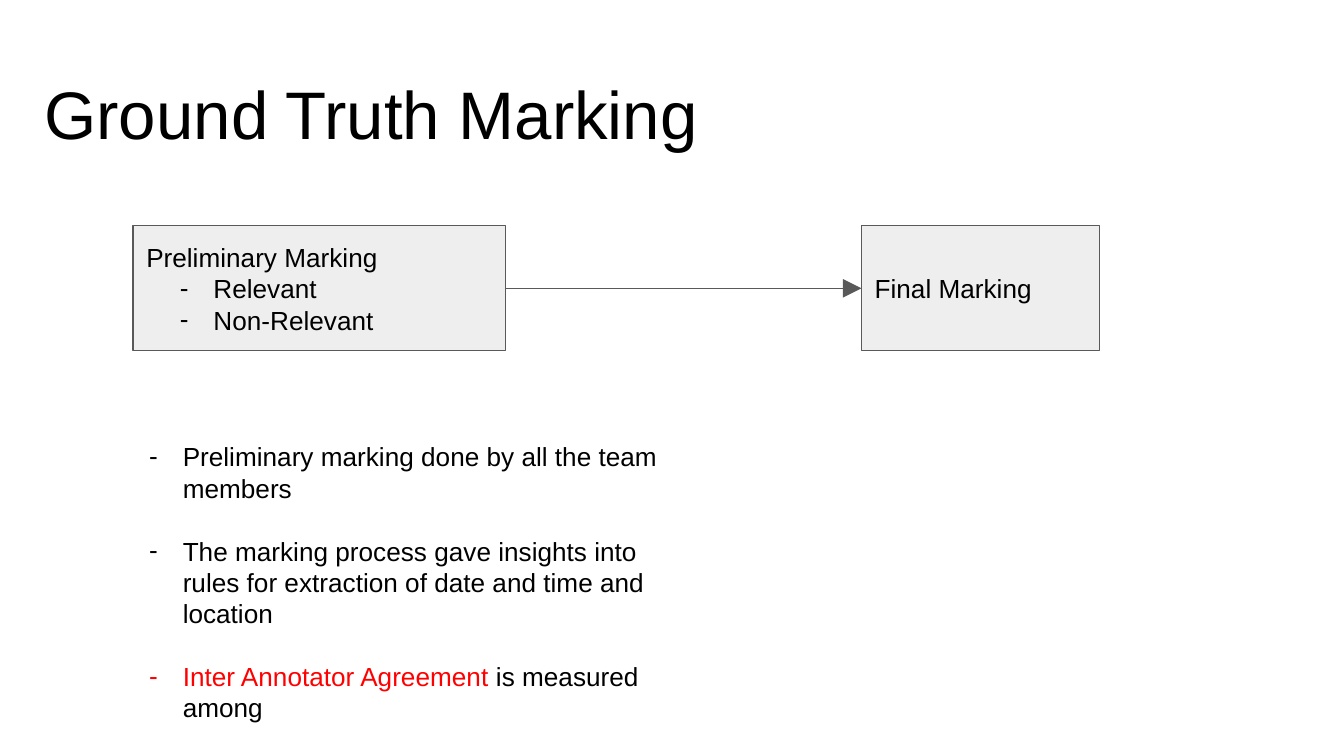
from pptx import Presentation
from pptx.dml.color import RGBColor
from pptx.enum.shapes import MSO_CONNECTOR, MSO_SHAPE
from pptx.enum.text import MSO_ANCHOR, MSO_AUTO_SIZE, PP_ALIGN
from pptx.oxml.ns import qn
from pptx.util import Inches, Pt
from lxml import etree

RECTANGLE = MSO_SHAPE.RECTANGLE
STRAIGHT = MSO_CONNECTOR.STRAIGHT
TOP, MIDDLE = MSO_ANCHOR.TOP, MSO_ANCHOR.MIDDLE
LEFT = PP_ALIGN.LEFT
NO_AUTOFIT = MSO_AUTO_SIZE.NONE

FONT = "Arial"
BLACK, RED, GRAY, PALE = "000000", "FF0000", "595959", "EEEEEE"
TEXT_SIZE = 14
LINE_PITCH = 16.8
BOX_TOP, BOX_HEIGHT = 1.68, 0.93


def color(value):
    return RGBColor.from_string(value)


def place(shape, left, top, width, height):
    shape.left, shape.top = Inches(left), Inches(top)
    shape.width, shape.height = Inches(width), Inches(height)


def prepare_frame(shape, anchor):
    frame = shape.text_frame
    frame.word_wrap = True
    frame.auto_size = NO_AUTOFIT
    frame.vertical_anchor = anchor
    frame.margin_left = frame.margin_right = Inches(0.1)
    frame.margin_top = frame.margin_bottom = Inches(0.1)
    return frame


def add_span(para, text, size=TEXT_SIZE, text_color=BLACK):
    span = para.add_run()
    span.text = text
    span.font.name = FONT
    span.font.size = Pt(size)
    span.font.color.rgb = color(text_color)


def add_dash(para, dash_color):
    properties = para._p.get_or_add_pPr()
    properties.set("marL", str(Inches(0.5)))
    properties.set("indent", str(Inches(-0.25)))
    bullet_color = etree.SubElement(properties, qn("a:buClr"))
    etree.SubElement(bullet_color, qn("a:srgbClr"), val=dash_color)
    etree.SubElement(properties, qn("a:buFont"), typeface=FONT)
    etree.SubElement(properties, qn("a:buChar"), char="-")


def write_paragraphs(frame, paragraphs, gap=0):
    for index, (dashed, spans) in enumerate(paragraphs):
        para = frame.add_paragraph() if index else frame.paragraphs[0]
        para.alignment = LEFT
        para.line_spacing = Pt(LINE_PITCH)
        para.space_before = Pt(0)
        para.space_after = Pt(gap if index < len(paragraphs) - 1 else 0)
        if dashed:
            add_dash(para, spans[0][1])
        for text, text_color in spans:
            add_span(para, text, text_color=text_color)


def set_title(page, text):
    title = page.shapes.title
    place(title, 0.23, 0.38, 9.32, 0.92)
    para = prepare_frame(title, MIDDLE).paragraphs[0]
    para.alignment = LEFT
    add_span(para, text, size=36)


def add_box(page, left, width, paragraphs):
    box = page.shapes.add_shape(
        RECTANGLE, Inches(left), Inches(BOX_TOP), Inches(width), Inches(BOX_HEIGHT)
    )
    box.shadow.inherit = False
    box.fill.solid()
    box.fill.fore_color.rgb = color(PALE)
    box.line.color.rgb = color(GRAY)
    box.line.width = Pt(0.75)
    write_paragraphs(prepare_frame(box, MIDDLE), paragraphs)
    return box


def add_arrow(page, source, target):
    arrow = page.shapes.add_connector(STRAIGHT, 0, 0, 0, 0)
    arrow.begin_connect(source, 3)
    arrow.end_connect(target, 1)
    arrow.line.color.rgb = color(GRAY)
    arrow.line.width = Pt(0.75)
    line = arrow.line._get_or_add_ln()
    etree.SubElement(line, qn("a:tailEnd"), type="triangle", w="lg", len="lg")
    etree.SubElement(arrow._element.spPr, qn("a:effectLst"))


def set_body_list(page, paragraphs):
    body = page.placeholders[1]
    place(body, 0.76, 3.18, 4.42, 1.67)
    write_paragraphs(prepare_frame(body, TOP), paragraphs, gap=LINE_PITCH)


def main():
    deck = Presentation()
    deck.slide_width = Inches(10)
    deck.slide_height = deck.slide_width * 9 // 16
    page = deck.slides.add_slide(deck.slide_layouts[1])

    set_title(page, "Ground Truth Marking")
    preliminary = add_box(page, 0.99, 2.77, [
        (False, [("Preliminary Marking", BLACK)]),
        (True, [("Relevant", BLACK)]),
        (True, [("Non-Relevant", BLACK)]),
    ])
    final = add_box(page, 6.41, 1.77, [(False, [("Final Marking", BLACK)])])
    add_arrow(page, preliminary, final)
    set_body_list(page, [
        (True, [("Preliminary marking done by all the team members", BLACK)]),
        (True, [("The marking process gave insights into rules for extraction "
                 "of date and time and location", BLACK)]),
        (True, [("Inter Annotator Agreement", RED), (" is measured among", BLACK)]),
    ])
    deck.save("out.pptx")


if __name__ == "__main__":
    main()
